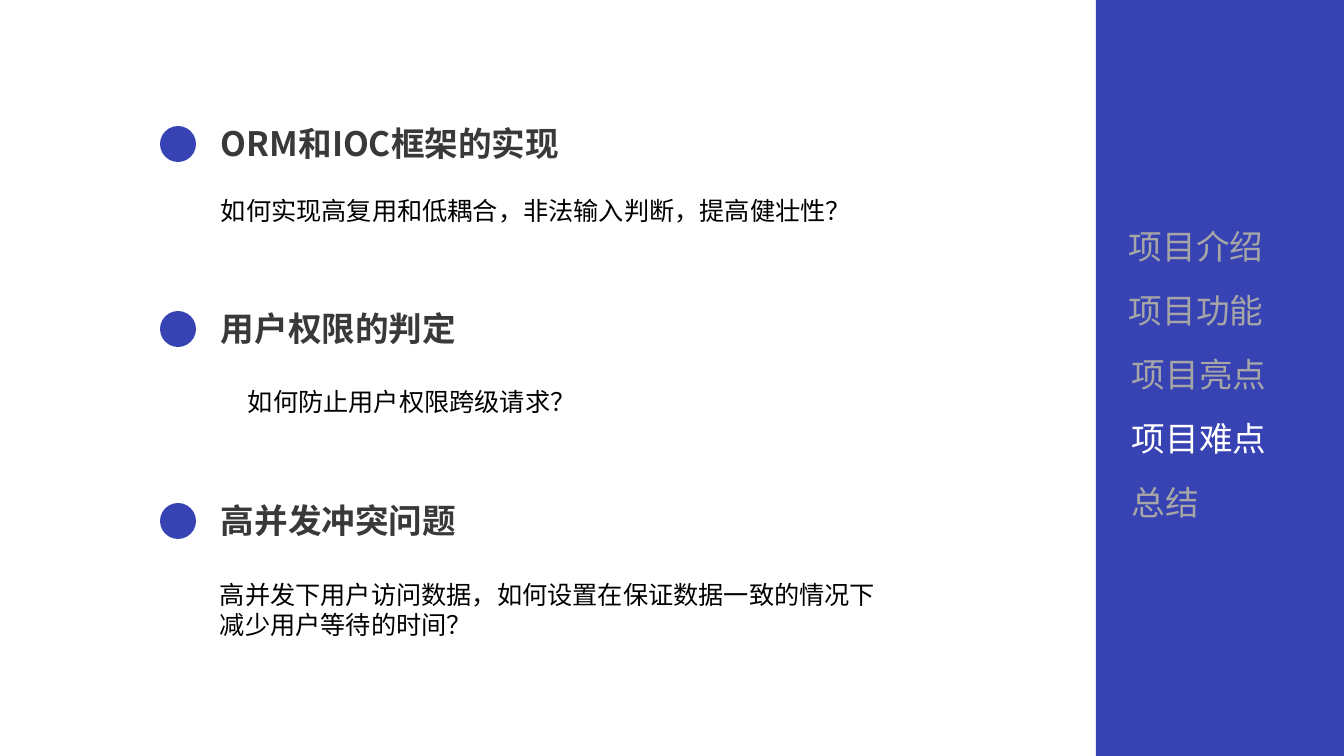
import dataclasses

import lxml.etree
import pptx
import pptx.dml.color
import pptx.enum.lang
import pptx.enum.shapes
import pptx.enum.text
import pptx.oxml.ns
import pptx.util

SCALE = 914400 / 100.8
FACE = "Noto Sans CJK SC"
BLUE = "3843B3"
GREY = "A6A6A6"
WHITE = "FFFFFF"
DARK = "3B3838"
BLACK = "000000"
KIND = pptx.enum.shapes.MSO_SHAPE


@dataclasses.dataclass
class Box:
    left: int
    top: int
    width: int
    height: int


@dataclasses.dataclass
class Link:
    text: str
    left: int
    color: str = GREY


@dataclasses.dataclass
class Topic:
    head: str
    top: int
    body: str
    area: Box


LINKS = [
    Link("项目介绍", 1119),
    Link("项目功能", 1119),
    Link("项目亮点", 1122),
    Link("项目难点", 1122, WHITE),
    Link("总结", 1122),
]

TOPICS = [
    Topic("ORM和IOC框架的实现", 118,
          "如何实现高复用和低耦合，非法输入判断，提高健壮性？",
          Box(211, 190, 635, 40)),
    Topic("用户权限的判定", 303,
          "如何防止用户权限跨级请求？",
          Box(238, 381, 448, 40)),
    Topic("高并发冲突问题", 495,
          "高并发下用户访问数据，如何设置在保证数据一致的情况下减少用户等待的时间？",
          Box(210, 574, 680, 72)),
]


def px(size: int) -> pptx.util.Emu:
    return pptx.util.Emu(round(size * SCALE))


def place(box: Box) -> tuple:
    return px(box.left), px(box.top), px(box.width), px(box.height)


def paint(tone) -> pptx.dml.color.RGBColor:
    return pptx.dml.color.RGBColor.from_string(tone)


def draw(slide, kind: KIND, box: Box) -> None:
    shape = slide.shapes.add_shape(kind, *place(box))
    shape.shadow.inherit = False
    shape.fill.solid()
    shape.fill.fore_color.rgb = paint(BLUE)
    shape.line.fill.background()


def write(slide, box: Box, text: str, size: int, color: str, bold: bool = False) -> None:
    frame = slide.shapes.add_textbox(*place(box)).text_frame
    frame.word_wrap = True
    frame.auto_size = pptx.enum.text.MSO_AUTO_SIZE.SHAPE_TO_FIT_TEXT
    run = frame.paragraphs[0].add_run()
    run.text = text
    font = run.font
    font.name = FACE
    font.size = pptx.util.Pt(size)
    font.bold = bold
    font.color.rgb = paint(color)
    font.language_id = pptx.enum.lang.MSO_LANGUAGE_ID.SIMPLIFIED_CHINESE
    east = lxml.etree.SubElement(run._r.get_or_add_rPr(), pptx.oxml.ns.qn("a:ea"))
    east.set("typeface", FACE)


def main() -> None:
    deck = pptx.Presentation()
    deck.slide_width, deck.slide_height = px(1344), px(756)
    slide = deck.slides.add_slide(deck.slide_layouts[6])

    draw(slide, KIND.RECTANGLE, Box(1096, 0, 248, 756))
    for row, link in enumerate(LINKS):
        write(slide, Box(link.left, 221 + 64 * row, 197, 50), link.text, 24, link.color)

    for topic in TOPICS:
        draw(slide, KIND.OVAL, Box(160, topic.top + 8, 36, 36))
        write(slide, Box(211, topic.top, 440, 50), topic.head, 24, DARK, True)
        write(slide, topic.area, topic.body, 18, BLACK)

    deck.save("out.pptx")


if __name__ == "__main__":
    main()
